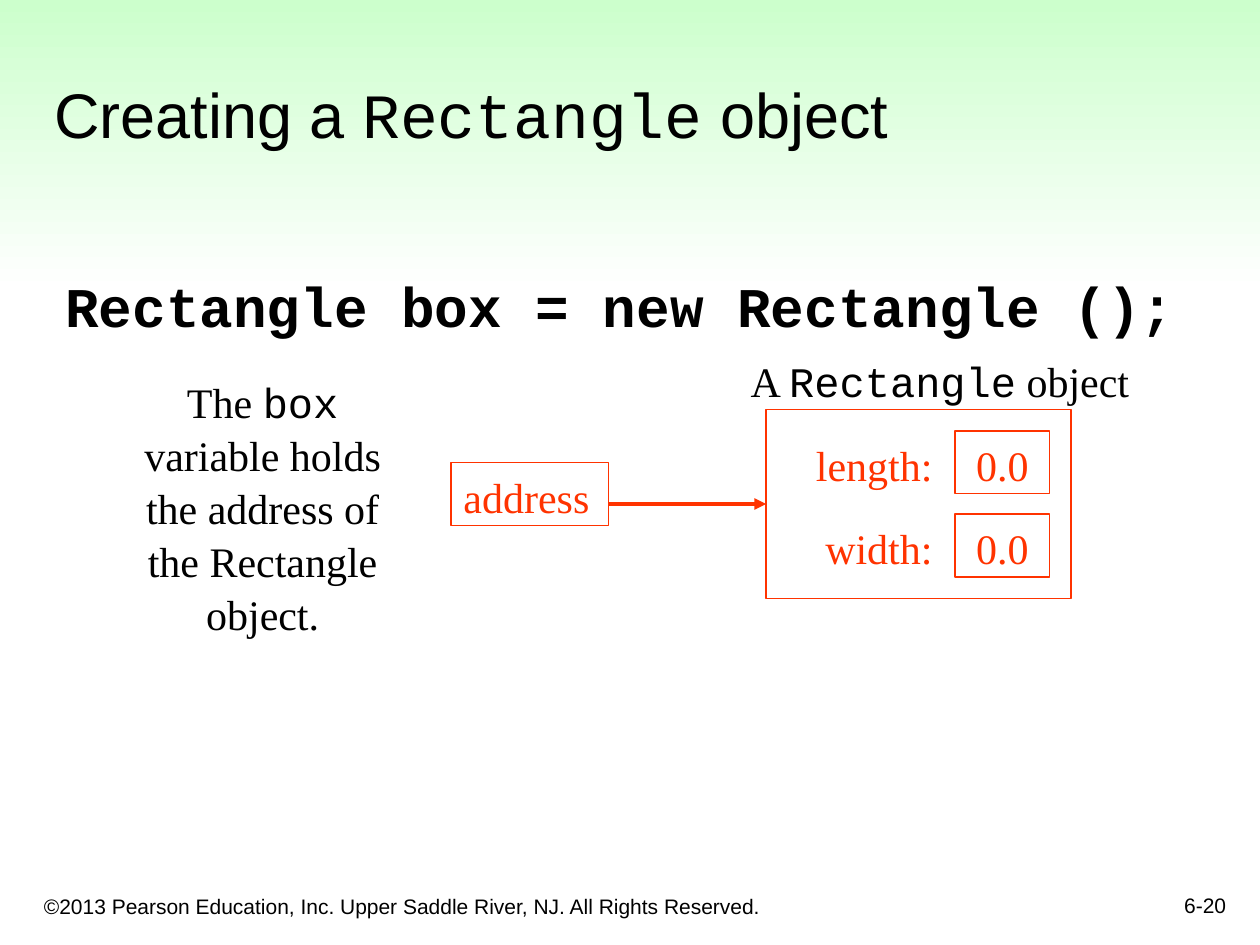
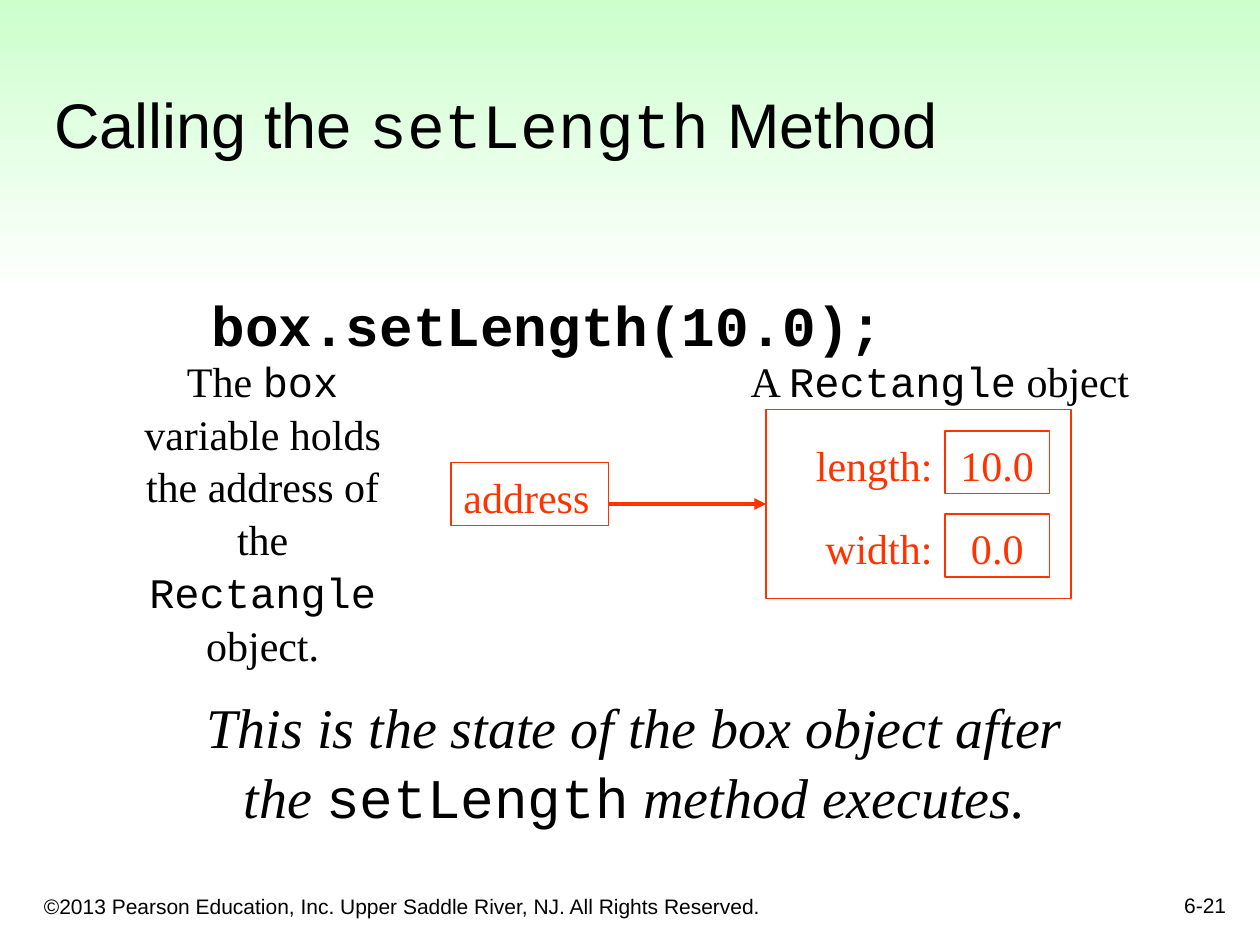
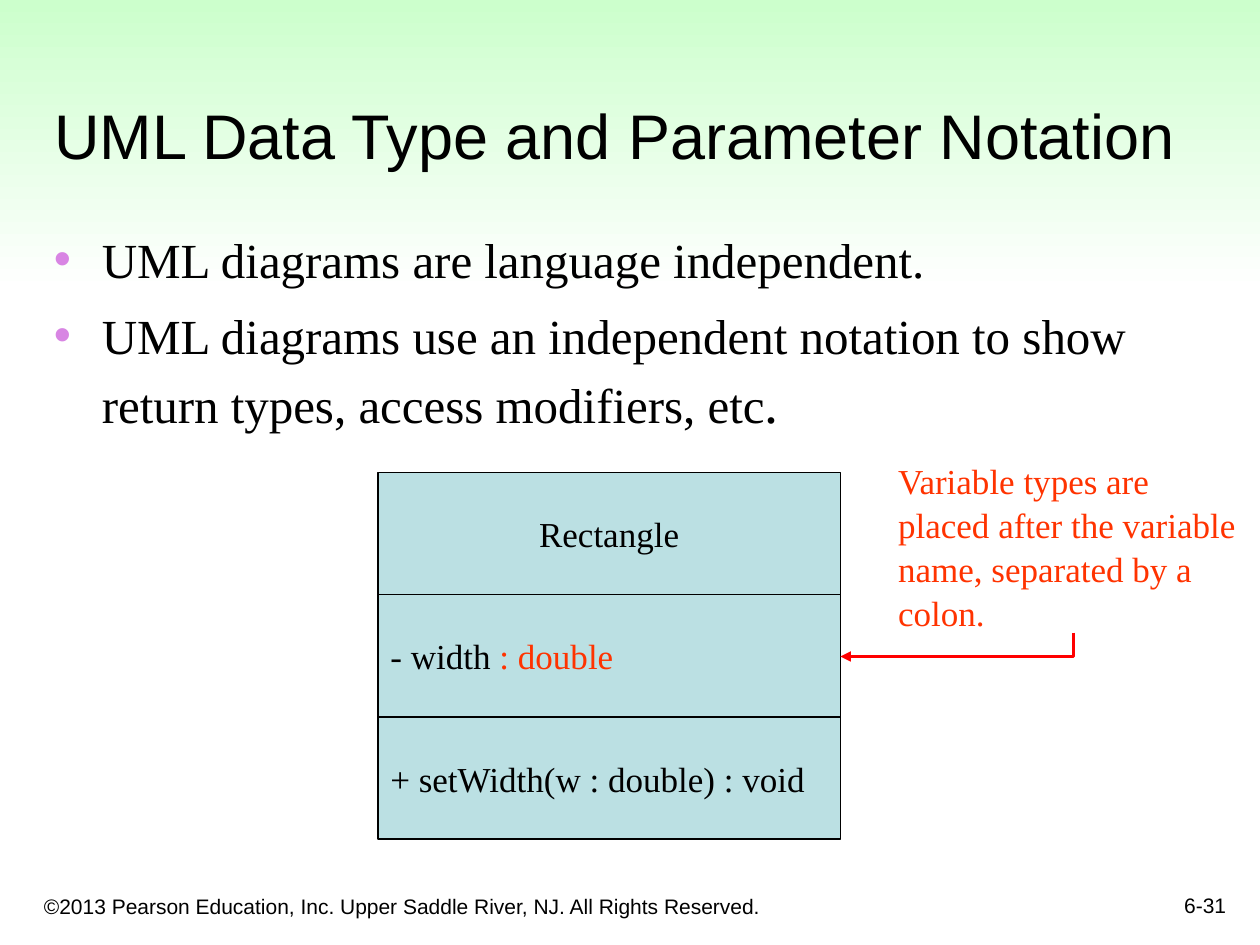
"""Build three slides about objects and UML notation."""
from lxml.etree import SubElement
from pptx import Presentation
from pptx.dml.color import RGBColor
from pptx.enum.shapes import MSO_CONNECTOR as Connector, MSO_SHAPE as Shape
from pptx.enum.text import MSO_ANCHOR as Anchor, MSO_AUTO_SIZE as AutoSize, PP_ALIGN as Align
from pptx.oxml.ns import qn
from pptx.util import Inches, Pt

COLORS = {"black": "000000", "white": "FFFFFF", "mint": "CCFFCC", "orange": "FF3300",
          "red": "FF0000", "teal": "BBE0E3", "bullet": "D885E3"}
SANS, SERIF, MONO = "Arial", "Times New Roman", "Courier New"
COPYRIGHT = "©2013 Pearson Education, Inc. Upper Saddle River, NJ. All Rights Reserved."


def rgb(name):
    """Return the named colour."""
    return RGBColor.from_string(COLORS[name])


def mono(text):
    """Return a run in the code font."""
    return text, {"font": MONO, "italic": False}


def add_bullet(paragraph):
    """Give a paragraph a coloured bullet and a hanging indent."""
    properties = paragraph._p.get_or_add_pPr()
    properties.set("marL", str(Inches(0.38)))
    properties.set("indent", str(-Inches(0.38)))
    color = SubElement(properties, qn("a:buClr"))
    SubElement(color, qn("a:srgbClr"), val=COLORS["bullet"])
    SubElement(properties, qn("a:buFont"), typeface=SANS)
    SubElement(properties, qn("a:buChar"), char="•")


def write(shape, *paragraphs, font=SERIF, size=24, color="black", bold=False, italic=False,
          align=Align.LEFT, anchor=Anchor.TOP, spacing=1.05, before=0, bullet=False):
    """Write paragraphs, each a list of strings or (text, format) runs, into a shape."""
    frame = shape.text_frame
    frame.word_wrap = True
    frame.auto_size = AutoSize.NONE
    frame.vertical_anchor = anchor
    base = {"font": font, "size": size, "color": color, "bold": bold, "italic": italic}
    for index, runs in enumerate(paragraphs):
        paragraph = frame.add_paragraph() if index else frame.paragraphs[0]
        paragraph.alignment = align
        paragraph.line_spacing = spacing
        paragraph.space_before = Pt(before if index else 0)
        if bullet:
            add_bullet(paragraph)
        for item in runs:
            text, changes = (item, {}) if isinstance(item, str) else item
            look = base | changes
            run = paragraph.add_run()
            run.text = text
            run.font.name = look["font"]
            run.font.size = Pt(look["size"])
            run.font.bold = look["bold"]
            run.font.italic = look["italic"]
            run.font.color.rgb = rgb(look["color"])


def add_text(slide, box, *paragraphs, **look):
    """Add a text box at (left, top, width, height) in inches."""
    write(slide.shapes.add_textbox(*map(Inches, box)), *paragraphs, **look)


def add_box(shapes, box, *paragraphs, line="orange", fill=None, **look):
    """Add an outlined rectangle, optionally filled and with text."""
    shape = shapes.add_shape(Shape.RECTANGLE, *map(Inches, box))
    shape.shadow.inherit = False
    if fill:
        shape.fill.solid()
        shape.fill.fore_color.rgb = rgb(fill)
    else:
        shape.fill.background()
    shape.line.color.rgb = rgb(line)
    shape.line.width = Pt(0.75)
    write(shape, *paragraphs, **look)
    return shape


def add_arrow(slide, kind, points, color, width):
    """Add a connector with an arrowhead at its end."""
    arrow = slide.shapes.add_connector(kind, *map(Inches, points))
    arrow.line.color.rgb = rgb(color)
    arrow.line.width = Pt(width)
    SubElement(arrow.line._get_or_add_ln(), qn("a:tailEnd"), type="triangle")
    SubElement(arrow._element.spPr, qn("a:effectLst"))
    return arrow


def add_corner_arrow(slide, start, end, color, width):
    """Add an arrow that runs down from its start and then left to its end."""
    across, down = start[0] - end[0], end[1] - start[1]
    center_x, center_y = (start[0] + end[0]) / 2, (start[1] + end[1]) / 2
    points = (center_x - down / 2, center_y - across / 2,
              center_x + down / 2, center_y + across / 2)
    arrow = add_arrow(slide, Connector.ELBOW, points, color, width)
    properties = arrow._element.spPr
    properties.find(qn("a:xfrm")).set("rot", "5400000")
    properties.find(qn("a:prstGeom")).set("prst", "bentConnector2")


def add_band(slide):
    """Add the fading band behind the title."""
    band = slide.shapes.add_shape(Shape.RECTANGLE, 0, 0, Inches(10), Inches(2.32))
    band.shadow.inherit = False
    band.line.fill.background()
    band.fill.gradient()
    band.fill.gradient_angle = 270
    for stop, name in zip(band.fill.gradient_stops, ("mint", "white")):
        stop.color.rgb = rgb(name)
    slide.shapes._spTree.insert(2, band._element)


def add_slide(presentation, title_box, title, number):
    """Add a slide with its band, title, copyright line and number."""
    slide = presentation.slides.add_slide(presentation.slide_layouts[5])
    add_band(slide)
    heading = slide.shapes.title
    heading.left, heading.top, heading.width, heading.height = map(Inches, title_box)
    write(heading, title, font=SANS, size=36, anchor=Anchor.BOTTOM, spacing=1)
    footer = {"font": SANS, "size": 12, "anchor": Anchor.BOTTOM, "spacing": 1}
    add_text(slide, (0.25, 6.92, 6.08, 0.42), [COPYRIGHT], **footer)
    add_text(slide, (7.75, 6.83, 2.08, 0.5), [number], align=Align.RIGHT, **footer)
    return slide


def add_code(slide, box, code):
    """Add a large line of code."""
    add_text(slide, box, [code], font=MONO, size=32, bold=True, spacing=1.2)


def add_object_diagram(slide, values, value_left, note_box, note):
    """Show the box variable pointing at a Rectangle object with its fields."""
    add_box(slide.shapes, (3.58, 3.67, 1.25, 0.5), ["address"], color="orange")
    for row, (field, value) in enumerate(values.items()):
        top = 3.42 + row * 0.66
        add_box(slide.shapes, (value_left, top, 8.33 - value_left, 0.5), [value],
                color="orange", align=Align.CENTER)
        add_text(slide, (6.25, top, 1.25, 0.5), [field], color="orange", align=Align.RIGHT)
    rectangle_object = add_box(slide.shapes, (6.08, 3.25, 2.42, 1.5))
    arrow = add_arrow(slide, Connector.STRAIGHT, (4.83, 4, 6.08, 4), "orange", 2.25)
    arrow.end_connect(rectangle_object, 1)
    add_text(slide, note_box, note, align=Align.CENTER)
    add_text(slide, (5.5, 2.75, 3.92, 0.5), ["A ", mono("Rectangle"), " object"],
             align=Align.CENTER)


def add_class_diagram(slide, rows):
    """Stack the compartments of a UML class in one group."""
    group = slide.shapes.add_group_shape()
    for index, (runs, align) in enumerate(rows):
        add_box(group.shapes, (3, 3.75 + index * 0.97, 3.67, 0.97), runs, line="black",
                fill="teal", size=20, align=align, anchor=Anchor.MIDDLE, spacing=1)


def build_creating_slide(presentation):
    """Build the slide on creating an object."""
    slide = add_slide(presentation, (0.33, 0, 8.5, 1.25),
                      ["Creating a ", mono("Rectangle"), " object"], "6-20")
    add_code(slide, (0.42, 2, 9.08, 0.75), "Rectangle box = new Rectangle ();")
    add_object_diagram(slide, {"length:": "0.0", "width:": "0.0"}, 7.58,
                       (0.92, 2.92, 2.33, 2.1),
                       ["The ", mono("box "),
                        "variable holds the address of the Rectangle object."])


def build_calling_slide(presentation):
    """Build the slide on calling a method."""
    slide = add_slide(presentation, (0.33, 0.08, 8.5, 1.25),
                      ["Calling the ", mono("setLength"), " Method"], "6-21")
    add_code(slide, (1.58, 2.15, 6.14, 0.73), "box.setLength(10.0);")
    add_object_diagram(slide, {"length:": "10.0", "width:": "0.0"}, 7.5,
                       (0.92, 2.75, 2.33, 2.5),
                       ["The ", mono("box "), "variable holds the address of the ",
                        mono("Rectangle"), " object."])
    add_text(slide, (1.5, 5.42, 7.08, 1.17),
             ["This is the state of the box object after the ", mono("setLength"),
              " method executes."], size=32, italic=True, align=Align.CENTER)


def build_notation_slide(presentation):
    """Build the slide on UML notation."""
    slide = add_slide(presentation, (0.33, 0.33, 9.42, 1.09),
                      ["UML Data Type and Parameter Notation"], "6-31")
    add_text(slide, (0.33, 1.75, 9.07, 1.94),
             ["UML diagrams are language independent."],
             ["UML diagrams use an independent notation to show return types, "
              "access modifiers, etc", (".", {"size": 32})],
             size=28, before=8, bullet=True)
    add_class_diagram(slide, [
        (["Rectangle"], Align.CENTER),
        (["- width ", (": double", {"color": "orange"})], Align.LEFT),
        (["+ setWidth(w : double) : void"], Align.LEFT),
    ])
    add_text(slide, (7.03, 3.58, 2.97, 1.44),
             ["Variable types are placed after the variable name, separated by a colon."],
             size=20, color="orange")
    add_corner_arrow(slide, (8.52, 5.02), (6.67, 5.21), "red", 2)


def main():
    """Build and save the presentation."""
    presentation = Presentation()
    presentation.slide_width, presentation.slide_height = Inches(10), Inches(7.5)
    build_creating_slide(presentation)
    build_calling_slide(presentation)
    build_notation_slide(presentation)
    presentation.save("out.pptx")


if __name__ == "__main__":
    main()
